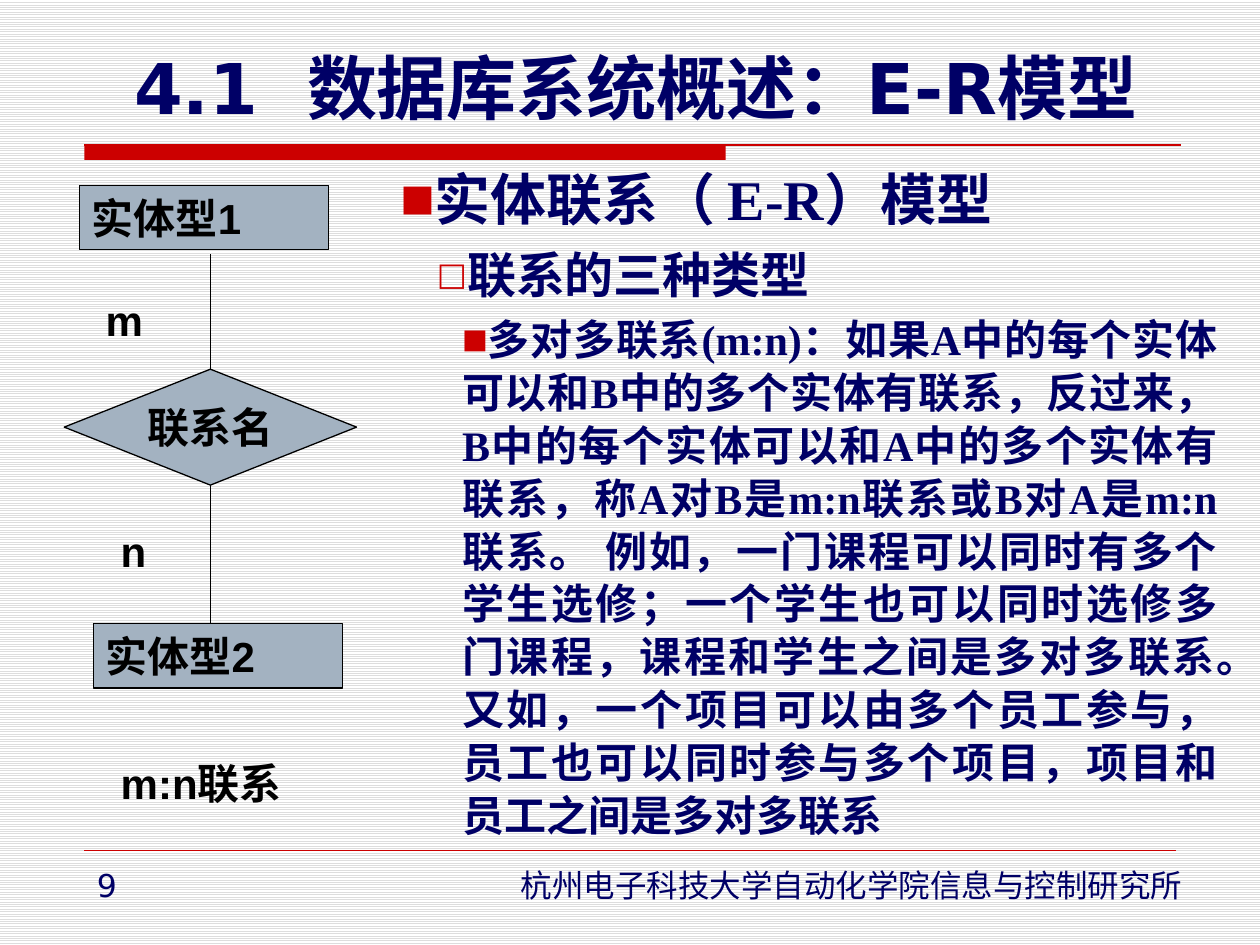
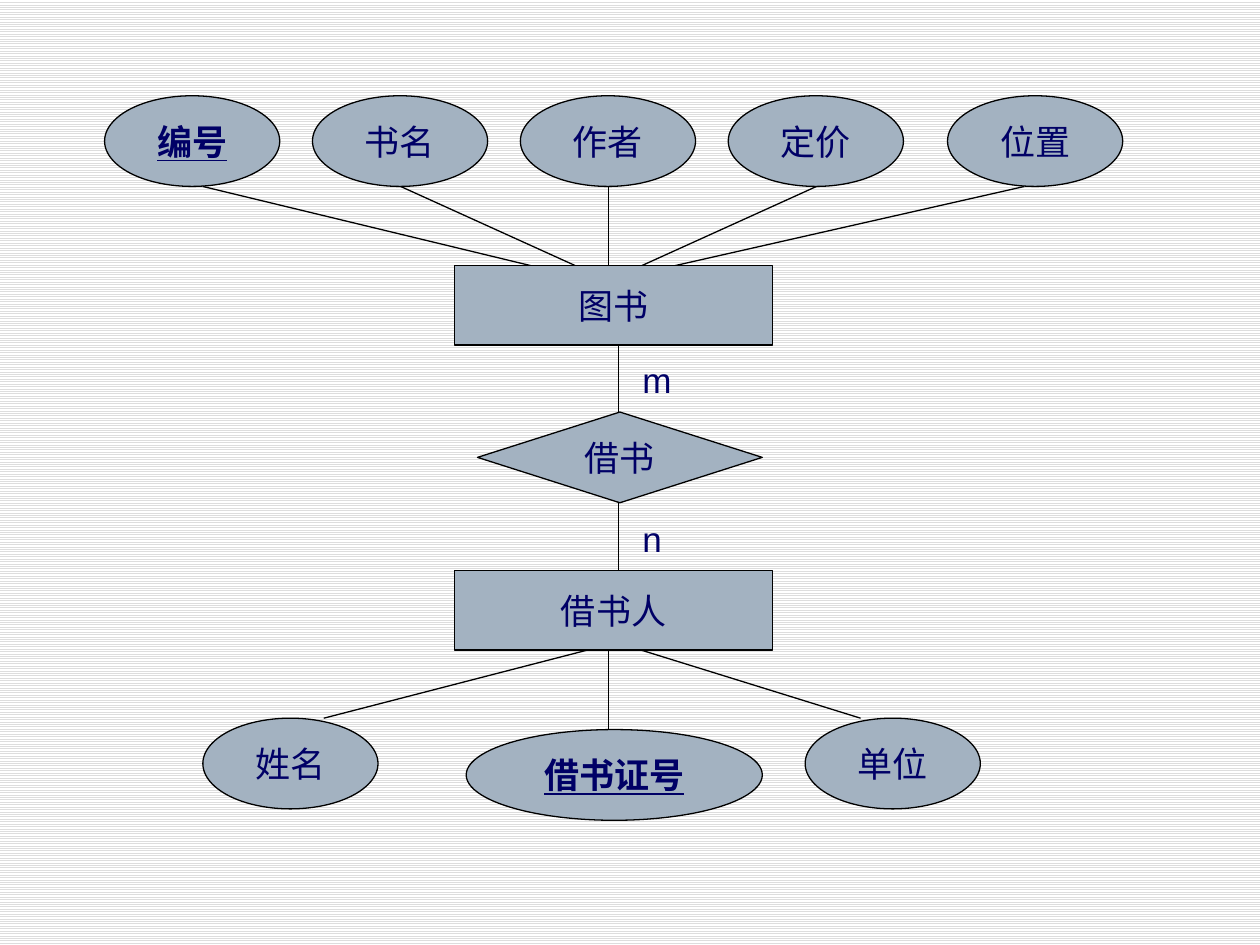
from lxml import etree
from pptx import Presentation
from pptx.dml.color import RGBColor
from pptx.enum.dml import MSO_PATTERN
from pptx.enum.shapes import MSO_CONNECTOR, MSO_SHAPE
from pptx.enum.text import MSO_ANCHOR, PP_ALIGN
from pptx.oxml.ns import qn
from pptx.util import Inches, Pt

STRIPE = MSO_PATTERN.LIGHT_HORIZONTAL
RECT, ROUND = MSO_SHAPE.RECTANGLE, MSO_SHAPE.FLOWCHART_CONNECTOR
GEM, CHOICE = MSO_SHAPE.DIAMOND, MSO_SHAPE.FLOWCHART_DECISION
STRAIGHT = MSO_CONNECTOR.STRAIGHT
LEFT, MID, RIGHT, FULL = PP_ALIGN.LEFT, PP_ALIGN.CENTER, PP_ALIGN.RIGHT, PP_ALIGN.JUSTIFY
CENTER, TOP, BOTTOM = MSO_ANCHOR.MIDDLE, MSO_ANCHOR.TOP, MSO_ANCHOR.BOTTOM
NAVY, RED, STEEL, BLACK = "000066", "CC0000", "A3B2C1", "000000"
ARIAL, TIMES, SANS, HAN = "Arial", "Times New Roman", "DejaVu Sans", "Noto Sans CJK SC"


def tint(code):
    """Turn a hex string into a colour."""
    return RGBColor.from_string(code)


def place(*box):
    """Turn inches into lengths."""
    return [Inches(n) for n in box]


def add_run(para, text, size, face=ARIAL, color=NAVY, bold=False, under=False, space=0):
    """Add one run with Latin and East Asian fonts."""
    run = para.add_run()
    run.text = text
    font = run.font
    font.size, font.bold, font.underline = Pt(size), bold, under
    font.color.rgb = tint(color)
    font.name = face
    props = run._r.get_or_add_rPr()
    etree.SubElement(props, qn("a:ea"), typeface=HAN)
    if space:
        props.set("spc", str(space * 100))


def set_frame(shape, anchor=CENTER, wrap=False):
    """Set anchor and wrap, and return the text frame."""
    frame = shape.text_frame
    frame.vertical_anchor, frame.word_wrap = anchor, wrap
    return frame


def add_text(slide, box, text, size, align=LEFT, **look):
    """Add a text box of one line."""
    para = set_frame(slide.shapes.add_textbox(*place(*box))).paragraphs[0]
    para.alignment = align
    add_run(para, text, size, **look)


def add_node(slide, kind, box, text, size=20, align=MID, **look):
    """Add a filled diagram node with its label."""
    node = slide.shapes.add_shape(kind, *place(*box))
    node.shadow.inherit = False
    node.fill.solid()
    node.fill.fore_color.rgb = tint(STEEL)
    node.line.color.rgb = tint(BLACK)
    node.line.width = Pt(0.75)
    para = set_frame(node).paragraphs[0]
    para.alignment = align
    add_run(para, text, size, **look)


def add_line(slide, ends, color=BLACK, width=0.75):
    """Add a straight line from x, y to x, y."""
    line = slide.shapes.add_connector(STRAIGHT, *place(*ends))
    line.line.color.rgb = tint(color)
    line.line.width = Pt(width)
    etree.SubElement(line._element.spPr, qn("a:effectLst"))


def new_slide(deck, layout):
    """Add a slide with the striped background."""
    slide = deck.slides.add_slide(deck.slide_layouts[layout])
    fill = slide.background.fill
    fill.patterned()
    fill.pattern = STRIPE
    fill.fore_color.rgb, fill.back_color.rgb = tint("DDDDDD"), tint("FFFFFF")
    return slide


def add_head(slide, x, y, number, text):
    """Format the title and draw the red band under it."""
    title = slide.shapes.title
    title.left, title.top, title.width, title.height = place(x, y, 8.75, 0.79)
    frame = set_frame(title, BOTTOM, True)
    frame.margin_left = frame.margin_right = 0
    frame.margin_bottom = Inches(0.05)
    para = frame.paragraphs[0]
    para.alignment = MID
    for part, space in ((number, 0), (" ", 14), (text, 0)):
        add_run(para, part, 40, SANS, bold=True, space=space)
    rule = y + 0.87
    band = slide.shapes.add_shape(RECT, *place(x, rule, 5.09, 0.12))
    band.shadow.inherit = False
    band.fill.solid()
    band.fill.fore_color.rgb = tint(RED)
    band.line.fill.background()
    add_line(slide, (x, rule, x + 8.7, rule), RED)


def add_foot(slide, x, y, page, owner):
    """Draw the footer rule, page number and owner."""
    add_line(slide, (x, y, x + 8.66, y), RED, 0.25)
    add_text(slide, (x, y + 0.07, 0.57, 0.4), page, 18, face=SANS)
    add_text(slide, (x + 3.34, y + 0.07, 5.47, 0.4), owner, 18, RIGHT, face=HAN)


def add_body(slide, box, items):
    """Add bulleted paragraphs, one for each level."""
    frame = set_frame(slide.shapes.add_textbox(*place(*box)), TOP, True)
    for i, (mark, indent, size, pitch, gap, align, runs) in enumerate(items):
        para = frame.paragraphs[0] if i == 0 else frame.add_paragraph()
        props = para._p.get_or_add_pPr()
        props.set("marL", str(Inches(indent)))
        props.set("indent", "0")
        shade = etree.SubElement(props, qn("a:buClr"))
        etree.SubElement(shade, qn("a:srgbClr"), val=RED)
        etree.SubElement(props, qn("a:buSzPct"), val="65000")
        etree.SubElement(props, qn("a:buFont"), typeface=SANS)
        etree.SubElement(props, qn("a:buChar"), char=mark)
        para.alignment = align
        para.line_spacing, para.space_before = Pt(pitch), Pt(gap)
        for text, face in runs:
            add_run(para, text, size, face, bold=True)


def add_scheme(slide, x, y):
    """Draw the general many-to-many scheme."""
    look = {"size": 24, "color": BLACK, "bold": True}
    mid = x + 1.16
    add_line(slide, (mid, y + 0.55, mid, y + 1.46))
    add_line(slide, (mid, y + 2.38, mid, y + 3.48))
    add_node(slide, RECT, (x + 0.12, y, 1.98, 0.51), "实体型1", align=LEFT, **look)
    add_node(slide, GEM, (x, y + 1.46, 2.32, 0.92), "联系名", **look)
    add_node(slide, RECT, (x + 0.23, y + 3.48, 1.98, 0.51), "实体型2", align=LEFT, **look)
    for dx, dy, wide, text in (
        (0.23, 0.82, 0.58, "m"), (0.35, 2.65, 0.58, "n"), (0.35, 4.49, 2.09, "m:n联系"),
    ):
        add_text(slide, (x + dx, y + dy, wide, 0.5), text, **look)


def add_ovals(slide, y, items):
    """Draw attribute ovals; the key one is bold and underlined."""
    for x, dy, wide, text, key in items:
        add_node(slide, ROUND, (x, y + dy, wide, 0.72), text, bold=key, under=key)


def add_loan(slide, x, y):
    """Draw the book loan diagram."""
    names = "编号", "书名", "作者", "定价", "位置"
    steps = 0, 1.65, 3.3, 4.95, 6.69
    starts = 0.78, 2.35, 4, 5.65, 7.3
    ends = 3.39, 3.74, 4, 4.26, 4.52
    add_ovals(slide, y, [(x + dx, 0, 1.39, name, name == names[0])
                         for dx, name in zip(steps, names)])
    for a, b in zip(starts, ends):
        add_line(slide, (x + a, y + 0.72, x + b, y + 1.35))
    for a, b, dy in ((3.83, 1.74, 4.94), (4, 4, 5.03), (4.26, 6, 4.94)):
        add_line(slide, (x + a, y + 4.4, x + b, y + dy))
    mid = x + 4.08
    for dy, mark, top, name in ((1.97, "m", 1.35, "图书"), (3.23, "n", 3.77, "借书人")):
        add_line(slide, (mid, y + dy, mid, y + dy + 0.54))
        add_text(slide, (x + 4.17, y + dy + 0.07, 0.43, 0.43), mark, 20)
        add_node(slide, RECT, (x + 2.78, y + top, 2.52, 0.63), name)
    add_node(slide, CHOICE, (x + 2.96, y + 2.51, 2.26, 0.72), "借书")
    add_ovals(slide, y + 4.94, [
        (x + 0.78, 0, 1.39, "姓名", False),
        (x + 2.87, 0.09, 2.35, "借书证号", True),
        (x + 5.56, 0, 1.39, "单位", False),
    ])


def main():
    """Build both slides and save them."""
    deck = Presentation()
    deck.slide_width, deck.slide_height = place(10, 7.5)
    slide = new_slide(deck, 5)
    add_head(slide, 0.67, 0.28, "4.1", "数据库系统概述：E-R模型")
    add_foot(slide, 0.67, 6.75, "9", "杭州电子科技大学自动化学院信息与控制研究所")
    rule = (
        "多对多联系(m:n)：如果A中的每个实体可以和B中的多个实体有联系，反过来，"
        "B中的每个实体可以和A中的多个实体有联系，称A对B是m:n联系或B对A是m:n联系。 "
        "例如，一门课程可以同时有多个学生选修；一个学生也可以同时选修多门课程，"
        "课程和学生之间是多对多联系。又如，一个项目可以由多个员工参与，"
        "员工也可以同时参与多个项目，项目和员工之间是多对多联系"
    )
    add_body(slide, (2.88, 1.23, 6.88, 5.75), [
        ("■", 0.2, 32, 40.4, 0, LEFT,
         [("实体联系", HAN), ("（ E-R", TIMES), ("）模型", HAN)]),
        ("□", 0.49, 28, 35.3, 5.8, FULL, [("联系的三种类型", HAN)]),
        ("■", 0.69, 24, 30.2, 4.3, FULL, [(rule, TIMES)]),
    ])
    add_scheme(slide, 0.51, 1.47)
    add_loan(new_slide(deck, 6), 0.83, 0.76)
    deck.save("out.pptx")


if __name__ == "__main__":
    main()
